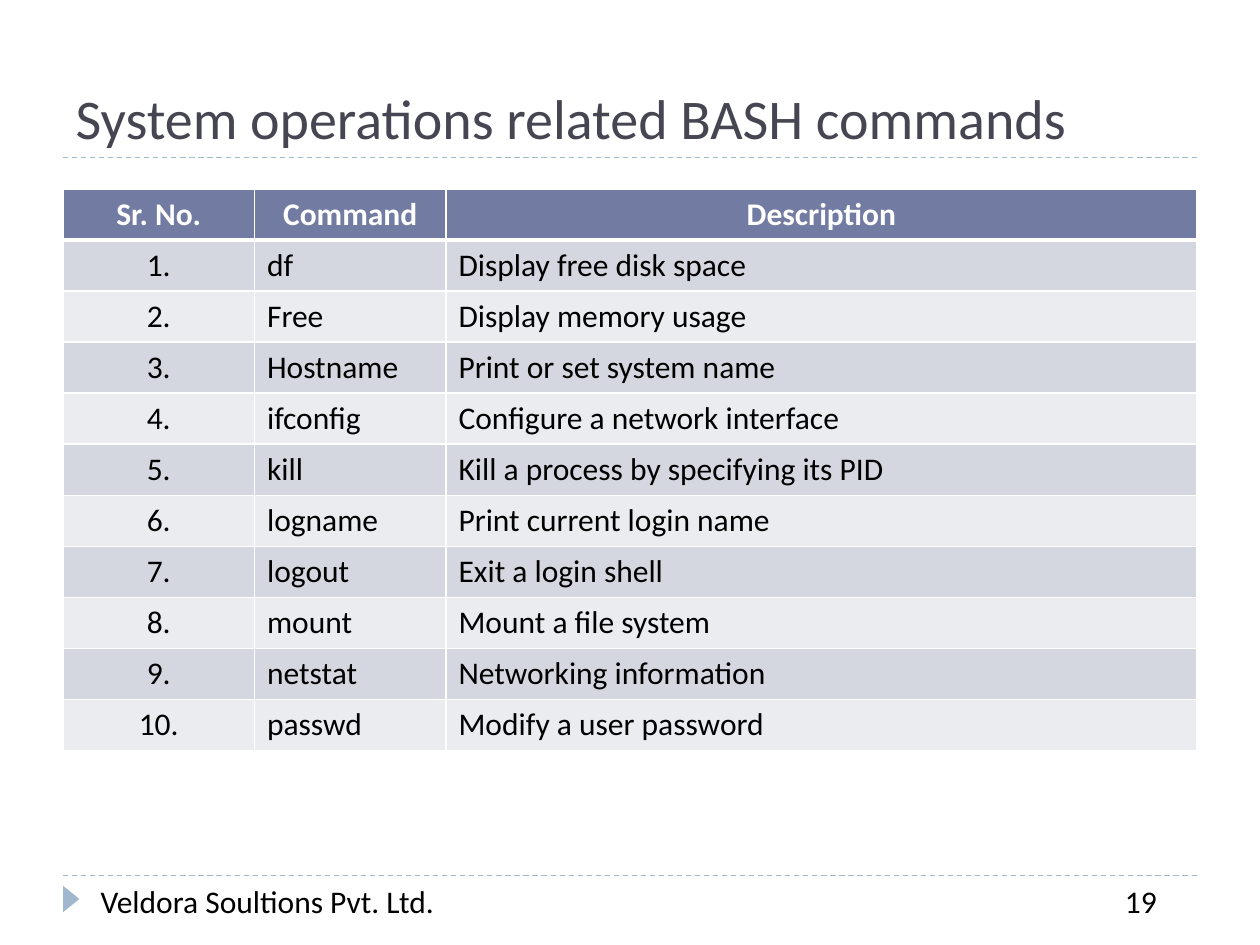
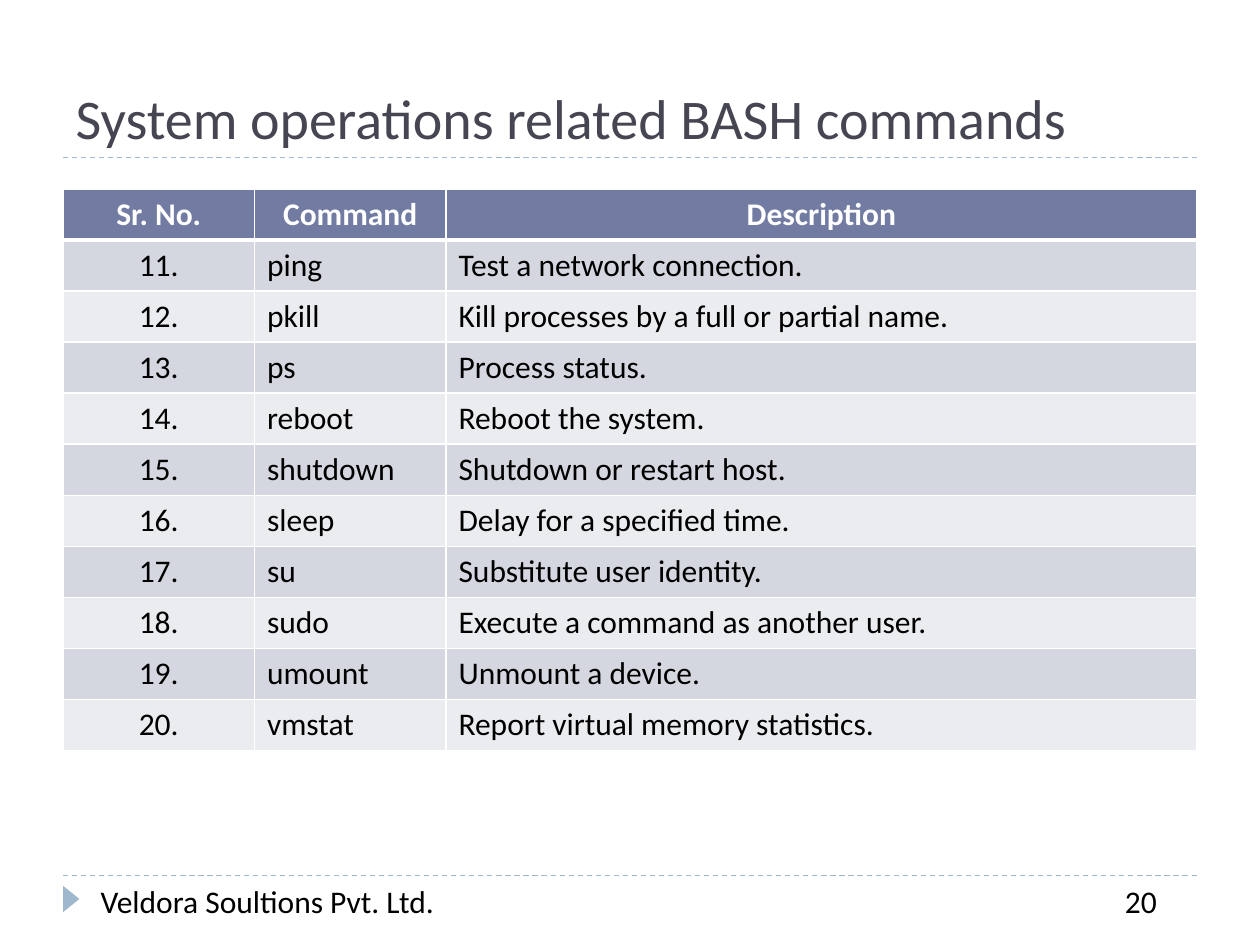
import pptx
import pptx.util
import pptx.dml.color
import pptx.enum.dml
import pptx.enum.shapes
import pptx.enum.text
import pptx.oxml.ns
from lxml import etree

RGBColor = pptx.dml.color.RGBColor
Inches = pptx.util.Inches
Pt = pptx.util.Pt
ALIGN = pptx.enum.text.PP_ALIGN
qn = pptx.oxml.ns.qn

TITLE = "System operations related BASH commands"
COMPANY = "Veldora Soultions Pvt. Ltd."
HEADINGS = ("Sr. No.", "Command", "Description")
FIRST_PAGE = 19
PAGES = [
    [
        ("df", "Display free disk space"),
        ("Free", "Display memory usage"),
        ("Hostname", "Print or set system name"),
        ("ifconfig", "Configure a network interface"),
        ("kill", "Kill a process by specifying its PID"),
        ("logname", "Print current login name"),
        ("logout", "Exit a login shell"),
        ("mount", "Mount a file system"),
        ("netstat", "Networking information"),
        ("passwd", "Modify a user password"),
    ],
    [
        ("ping", "Test a network connection."),
        ("pkill", "Kill processes by a full or partial name."),
        ("ps", "Process status."),
        ("reboot", "Reboot the system."),
        ("shutdown", "Shutdown or restart host."),
        ("sleep", "Delay for a specified time."),
        ("su", "Substitute user identity."),
        ("sudo", "Execute a command as another user."),
        ("umount", "Unmount a device."),
        ("vmstat", "Report virtual memory statistics."),
    ],
]

FONT = "Calibri"
WHITE = RGBColor(0xFF, 0xFF, 0xFF)
BLACK = RGBColor(0x00, 0x00, 0x00)
TITLE_INK = RGBColor(0x46, 0x46, 0x53)
ACCENT = RGBColor(0x9F, 0xB8, 0xCD)
HEADER_FILL = RGBColor(0x72, 0x7C, 0xA3)
BAND_FILLS = (RGBColor(0xEB, 0xEC, 0xF0), RGBColor(0xD5, 0xD7, 0xE0))

WIDTH, HEIGHT = 10, 7.5
MARGIN = WIDTH / 20
CONTENT = WIDTH - 2 * MARGIN
TITLE_RULE, FOOTER_RULE = 1.25, 6.95
TITLE_HEIGHT = 1.08
TABLE_TOP, TABLE_HEIGHT = 1.5, 4.46
NARROW = 1.52
COLUMNS = (NARROW, NARROW, CONTENT - 2 * NARROW)


def box(left, top, width, height):
    return [Inches(length) for length in (left, top, width, height)]


def write(frame, text, size=18, color=BLACK, bold=False, align=ALIGN.LEFT):
    paragraph = frame.paragraphs[0]
    paragraph.alignment = align
    run = paragraph.add_run()
    run.text = text
    run.font.name = FONT
    run.font.size = Pt(size)
    run.font.bold = bold
    run.font.color.rgb = color


def add_rule(slide, y):
    rule = slide.shapes.add_connector(
        pptx.enum.shapes.MSO_CONNECTOR.STRAIGHT,
        Inches(MARGIN), Inches(y), Inches(WIDTH - MARGIN), Inches(y))
    rule.line.color.rgb = ACCENT
    rule.line.width = Pt(0.75)
    rule.line.dash_style = pptx.enum.dml.MSO_LINE.DASH
    etree.SubElement(rule._element.spPr, qn("a:effectLst"))


def add_footer_text(slide, left, width, text):
    footer = slide.shapes.add_textbox(*box(left, FOOTER_RULE, width, 0.4))
    footer.text_frame.word_wrap = True
    write(footer.text_frame, text)


def add_frame(slide, page):
    for y in (FOOTER_RULE, TITLE_RULE):
        add_rule(slide, y)
    marker = slide.shapes.add_shape(
        pptx.enum.shapes.MSO_SHAPE.ISOSCELES_TRIANGLE,
        *box(0.46, 7.07, 0.21, 0.13))
    marker.rotation = 90
    marker.shadow.inherit = False
    marker.fill.solid()
    marker.fill.fore_color.rgb = ACCENT
    marker.line.fill.background()

    title = slide.shapes.title
    title.left, title.top, title.width, title.height = box(
        MARGIN, TITLE_RULE - TITLE_HEIGHT, CONTENT, TITLE_HEIGHT)
    title.text_frame.vertical_anchor = pptx.enum.text.MSO_ANCHOR.BOTTOM
    write(title.text_frame, TITLE, 32, TITLE_INK)

    add_footer_text(slide, 0.7, 3.8, COMPANY)
    add_footer_text(slide, 8.83, 0.67, str(page))


def set_borders(cell, row):
    widths = {"L": 1, "R": 1, "T": 3 if row == 1 else 1, "B": 3 if row == 0 else 1}
    properties = cell._tc.get_or_add_tcPr()
    for side, width in widths.items():
        edge = etree.SubElement(properties, qn("a:ln" + side), w=str(Pt(width)))
        fill = etree.SubElement(edge, qn("a:solidFill"))
        etree.SubElement(fill, qn("a:srgbClr"), val=str(WHITE))


def add_commands(slide, commands, first_number):
    rows = [HEADINGS] + [
        (f"{number}.", command, description)
        for number, (command, description) in enumerate(commands, first_number)]
    table = slide.shapes.add_table(
        len(rows), len(COLUMNS),
        *box(MARGIN, TABLE_TOP, CONTENT, TABLE_HEIGHT)).table
    for column, width in zip(table.columns, COLUMNS):
        column.width = Inches(width)
    for r, row in enumerate(rows):
        header = r == 0
        for c, text in enumerate(row):
            cell = table.cell(r, c)
            set_borders(cell, r)
            cell.fill.solid()
            cell.fill.fore_color.rgb = HEADER_FILL if header else BAND_FILLS[r % 2]
            write(cell.text_frame, text, color=WHITE if header else BLACK,
                  bold=header, align=ALIGN.CENTER if header or c == 0 else ALIGN.LEFT)


def main():
    deck = pptx.Presentation()
    deck.slide_width, deck.slide_height = Inches(WIDTH), Inches(HEIGHT)
    first_number = 1
    for page, commands in enumerate(PAGES, FIRST_PAGE):
        slide = deck.slides.add_slide(deck.slide_layouts[5])
        add_frame(slide, page)
        add_commands(slide, commands, first_number)
        first_number += len(commands)
    deck.save("out.pptx")


if __name__ == "__main__":
    main()
